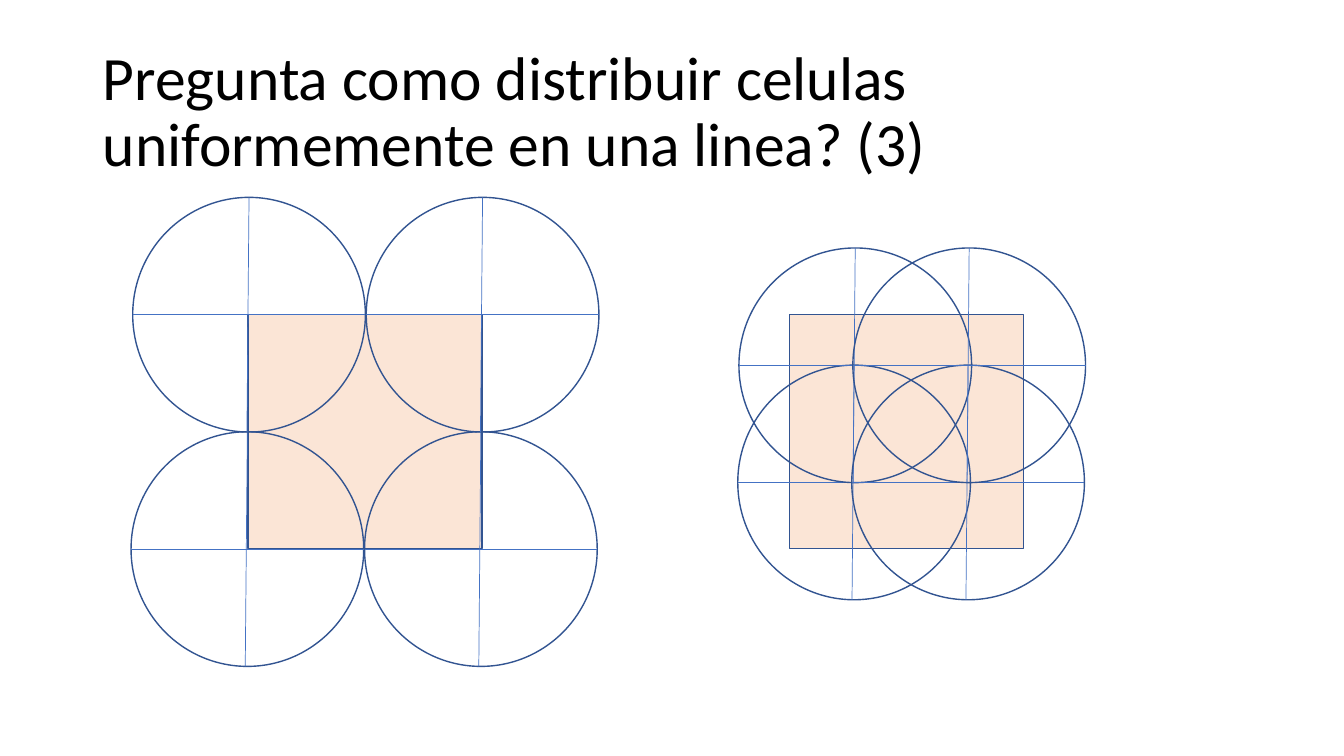
from itertools import product

from lxml.etree import SubElement
from pptx import Presentation
from pptx.dml.color import RGBColor
from pptx.enum.shapes import MSO_CONNECTOR, MSO_SHAPE
from pptx.enum.text import MSO_ANCHOR, MSO_AUTO_SIZE, PP_ALIGN
from pptx.oxml.ns import qn
from pptx.util import Pt

TITLE = "Pregunta como distribuir celulas uniformemente en una linea? (3)"
TITLE_BOX = (66.2, 28.8, 828, 104.4)
TITLE_FONT = {"name": "Calibri", "size": Pt(44), "bold": False}
TITLE_FRAME = {
    "word_wrap": True,
    "auto_size": MSO_AUTO_SIZE.NONE,
    "vertical_anchor": MSO_ANCHOR.MIDDLE,
}
TITLE_PARAGRAPH = {"alignment": PP_ALIGN.LEFT, "line_spacing": 0.9}
COLOURS = {"text": "000000", "area": "FBE5D6", "outline": "325491", "axis": "4472C4"}

AREA_SIDE = 167.2
AREA_TOP = 224.5
AREA_LEFTS = (563.9, 177.2)
CELL_WIDTH, CELL_HEIGHT = 166.2, 167.6
AXIS_TOP, AXIS_BOTTOM = 83.1, 81.6  # the upright axis leans slightly

# left and top belong to the first cell; lean moves the upper row to the right
LAYOUTS = (
    {"left": 93.6, "top": 141, "step": (166.8, 167.4), "lean": 1.2, "one_group": True},
    {"left": 527, "top": 177.1, "step": (81.4, 83.7), "lean": 0.8, "one_group": False},
)


def set_values(target, values):
    """Set attributes from a dict of format values."""
    for name, value in values.items():
        setattr(target, name, value)


def colour(key):
    """Return the named colour."""
    return RGBColor.from_string(COLOURS[key])


def draw_line(line, key, width):
    """Give a line its colour and width."""
    line.color.rgb = colour(key)
    line.width = Pt(width)


def add_outlined(shapes, kind, bounds, fill=None):
    """Add an outlined preset shape, filled only when a colour is named."""
    shape = shapes.add_shape(kind, *map(Pt, bounds))
    shape.shadow.inherit = False
    if fill:
        shape.fill.solid()
        shape.fill.fore_color.rgb = colour(fill)
    else:
        shape.fill.background()
    draw_line(shape.line, "outline", 1)


def add_axis(shapes, start, end):
    """Add a thin straight line without a shadow."""
    axis = shapes.add_connector(MSO_CONNECTOR.STRAIGHT, *map(Pt, start + end))
    draw_line(axis.line, "axis", 0.5)
    SubElement(axis._element.spPr, qn("a:effectLst"))


def add_cell(shapes, left, top):
    """Add a circular cell with its two axes."""
    middle, bottom = top + CELL_HEIGHT / 2, top + CELL_HEIGHT
    add_outlined(shapes, MSO_SHAPE.OVAL, (left, top, CELL_WIDTH, CELL_HEIGHT))
    add_axis(shapes, (left + CELL_WIDTH, middle), (left, middle))
    add_axis(shapes, (left + AXIS_TOP, top), (left + AXIS_BOTTOM, bottom))


def add_cells(page, left, top, step, lean, one_group):
    """Add two by two cells, in one group or one group each."""
    group = page.shapes.add_group_shape() if one_group else None
    for column, row in product((0, 1), (1, 0)):
        cell_group = group or page.shapes.add_group_shape()
        cell_left = left + column * step[0] + (1 - row) * lean
        add_cell(cell_group.shapes, cell_left, top + row * step[1])


def add_title(page):
    """Place and format the title placeholder."""
    title = page.shapes.title
    set_values(title, dict(zip(("left", "top", "width", "height"), map(Pt, TITLE_BOX))))
    frame = title.text_frame
    set_values(frame, TITLE_FRAME)
    para = frame.paragraphs[0]
    set_values(para, TITLE_PARAGRAPH)
    span = para.add_run()
    span.text = TITLE
    set_values(span.font, TITLE_FONT)
    span.font.color.rgb = colour("text")


deck = Presentation()
deck.slide_width, deck.slide_height = Pt(960), Pt(540)
page = deck.slides.add_slide(deck.slide_layouts[5])
for area_left in AREA_LEFTS:
    bounds = (area_left, AREA_TOP, AREA_SIDE, AREA_SIDE)
    add_outlined(page.shapes, MSO_SHAPE.RECTANGLE, bounds, "area")
add_title(page)
for layout in LAYOUTS:
    add_cells(page, **layout)
deck.save("out.pptx")
